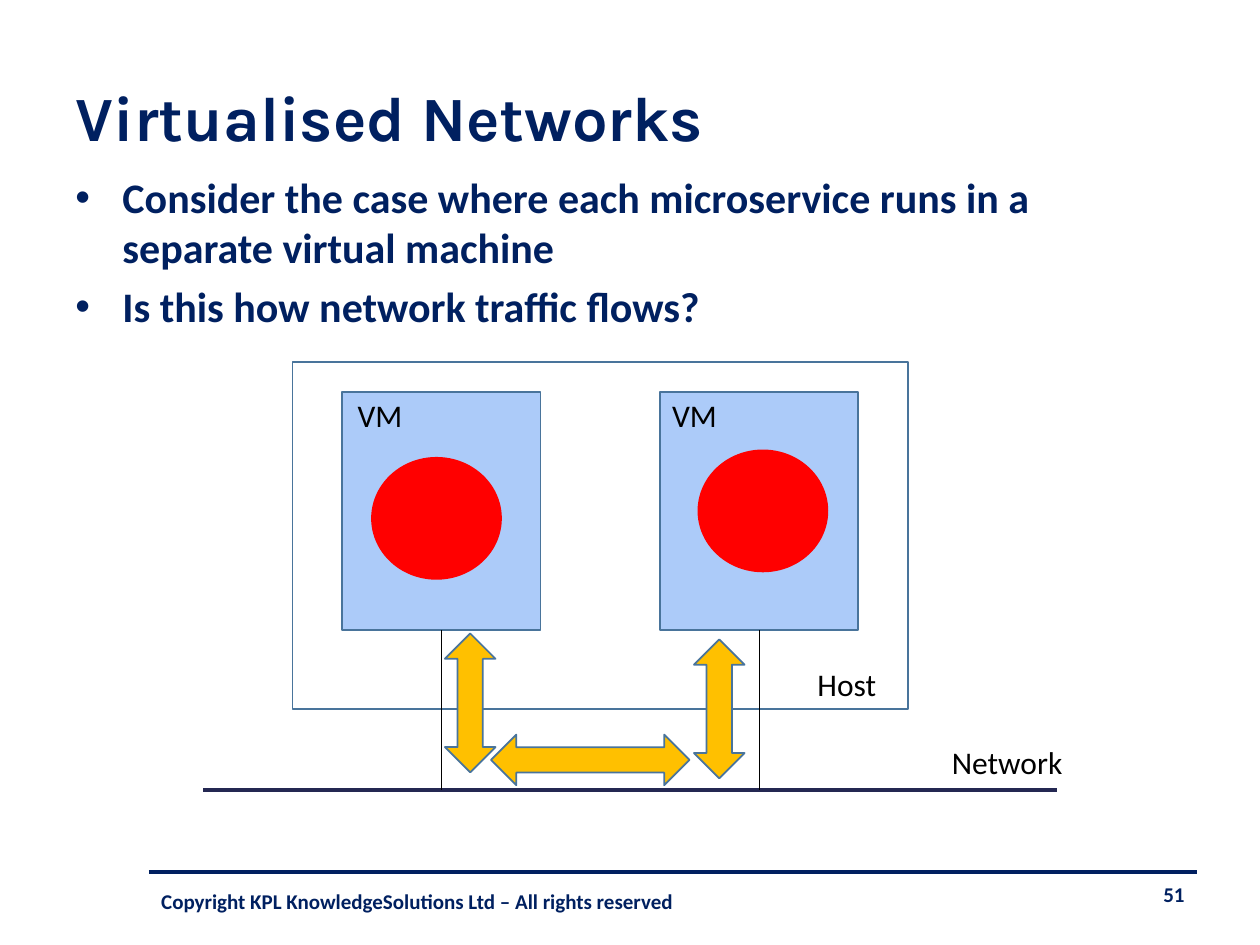
from lxml import etree
from pptx import Presentation
from pptx import util as u
from pptx.dml.color import RGBColor
from pptx.enum import shapes, text
from pptx.oxml.ns import qn

NAVY = RGBColor(0x00, 0x20, 0x60)
INK = RGBColor(0x24, 0x28, 0x52)
STEEL = RGBColor(0x49, 0x74, 0x9B)
SKY = RGBColor(0xAC, 0xCB, 0xF9)
RED = RGBColor(0xFF, 0x00, 0x00)
AMBER = RGBColor(0xFF, 0xC0, 0x00)
BLACK = RGBColor(0x00, 0x00, 0x00)

SHAPE = shapes.MSO_SHAPE


def write(p, content, size=18, color=BLACK, bold=False, font="Calibri",
          align=text.PP_ALIGN.LEFT):
    p.alignment = align
    r = p.add_run()
    r.text = content
    r.font.name = font
    r.font.size = u.Pt(size)
    r.font.bold = bold
    r.font.color.rgb = color


def add_bullet(p, indent):
    """Give the paragraph a hanging round bullet."""
    pPr = p._p.get_or_add_pPr()
    pPr.set("marL", str(indent))
    pPr.set("indent", str(-indent))
    etree.SubElement(pPr, qn("a:buFont")).set("typeface", "Arial")
    etree.SubElement(pPr, qn("a:buChar")).set("char", "•")


class SlideBuilder:
    """Places elements on the slide; all lengths are in centimetres."""

    heading = {"color": NAVY, "bold": True}

    def __init__(self, prs):
        self.s = prs.slides.add_slide(prs.slide_layouts[5])

    def title(self, content, x, y, w, h):
        sp = self.s.shapes.title
        sp.left, sp.top, sp.width, sp.height = map(u.Cm, (x, y, w, h))
        tf = sp.text_frame
        tf.vertical_anchor = text.MSO_ANCHOR.MIDDLE
        write(tf.paragraphs[0], content, size=36, font="Karla", **self.heading)

    def frame(self, x, y, w, h, wrap=True):
        sp = self.s.shapes.add_textbox(*map(u.Cm, (x, y, w, h)))
        sp.text_frame.word_wrap = wrap
        return sp.text_frame

    def bullets(self, items, x, y, w, h):
        tf = self.frame(x, y, w, h)
        for i, item in enumerate(items):
            p = tf.add_paragraph() if i else tf.paragraphs[0]
            add_bullet(p, u.Cm(0.95))
            p.space_before = u.Pt(4.8 if i else 0)
            write(p, item, size=24, **self.heading)

    def label(self, content, x, y, w):
        tf = self.frame(x, y, w, 1.03, wrap=False)
        tf.auto_size = text.MSO_AUTO_SIZE.SHAPE_TO_FIT_TEXT
        write(tf.paragraphs[0], content)

    def footer(self, content, x, y, w, **fmt):
        tf = self.frame(x, y, w, 1.02)
        write(tf.paragraphs[0], content, size=12, **self.heading, **fmt)

    def shape(self, kind, x, y, w, h, fill=None, line=STEEL, rotation=0):
        sp = self.s.shapes.add_shape(kind, *map(u.Cm, (x, y, w, h)))
        sp.shadow.inherit = False
        sp.rotation = rotation
        if fill is None:
            sp.fill.background()
        else:
            sp.fill.solid()
            sp.fill.fore_color.rgb = fill
        sp.line.color.rgb = line
        sp.line.width = u.Pt(1)

    def line(self, x1, y1, x2, y2, color, width):
        cn = self.s.shapes.add_connector(
            shapes.MSO_CONNECTOR.STRAIGHT, *map(u.Cm, (x1, y1, x2, y2)))
        cn.line.color.rgb = color
        cn.line.width = u.Pt(width)
        etree.SubElement(cn._element.spPr, qn("a:effectLst"))


def main():
    prs = Presentation()
    prs.slide_width, prs.slide_height = u.Cm(25.4), u.Cm(19.05)
    b = SlideBuilder(prs)

    b.line(3, 17.58, 24.13, 17.58, NAVY, 2.25)
    b.title("Virtualised Networks", 1.27, 0.74, 23.04, 3.2)
    b.bullets(["Consider the case where each microservice runs in a "
               "separate virtual machine",
               "Is this how network traffic flows?"], 1.27, 3.33, 22.86, 13.82)
    b.footer("51", 16.71, 17.65, 7.42, align=text.PP_ALIGN.RIGHT)

    b.shape(SHAPE.RECTANGLE, 5.9, 7.3, 12.4, 7)
    vm_y, vm_w, vm_h, network_y = 7.9, 4, 4.8, 15.93
    b.line(4.1, network_y, 21.3, network_y, INK, 2.5)

    # VM left, label left, service left and top
    for vm_x, label_x, service_x, service_y in [(6.9, 6.96, 7.5, 9.23),
                                                (13.3, 13.3, 14.08, 9.08)]:
        b.shape(SHAPE.RECTANGLE, vm_x, vm_y, vm_w, vm_h, SKY)
        b.label("VM", label_x, 7.86, 1.42)
        b.shape(SHAPE.OVAL, service_x, service_y, 2.6, 2.44, RED, RED)
        middle = vm_x + vm_w / 2
        b.line(middle, vm_y + vm_h, middle, network_y, BLACK, 0.5)

    b.label("Network", 18.94, 14.86, 2.77)
    b.label("Host", 16.23, 13.29, 1.7)

    # left, top, length, rotation
    for x, y, length, rotation in [(8.08, 13.66, 2.8, 270),
                                   (9.9, 14.81, 4, 0),
                                   (13.1, 13.78, 2.8, 270)]:
        b.shape(SHAPE.LEFT_RIGHT_ARROW, x, y, length, 1.02, AMBER,
                rotation=rotation)

    b.footer("Copyright KPL KnowledgeSolutions Ltd – All rights reserved",
             3, 17.78, 13.28)
    prs.save("out.pptx")


if __name__ == "__main__":
    main()
